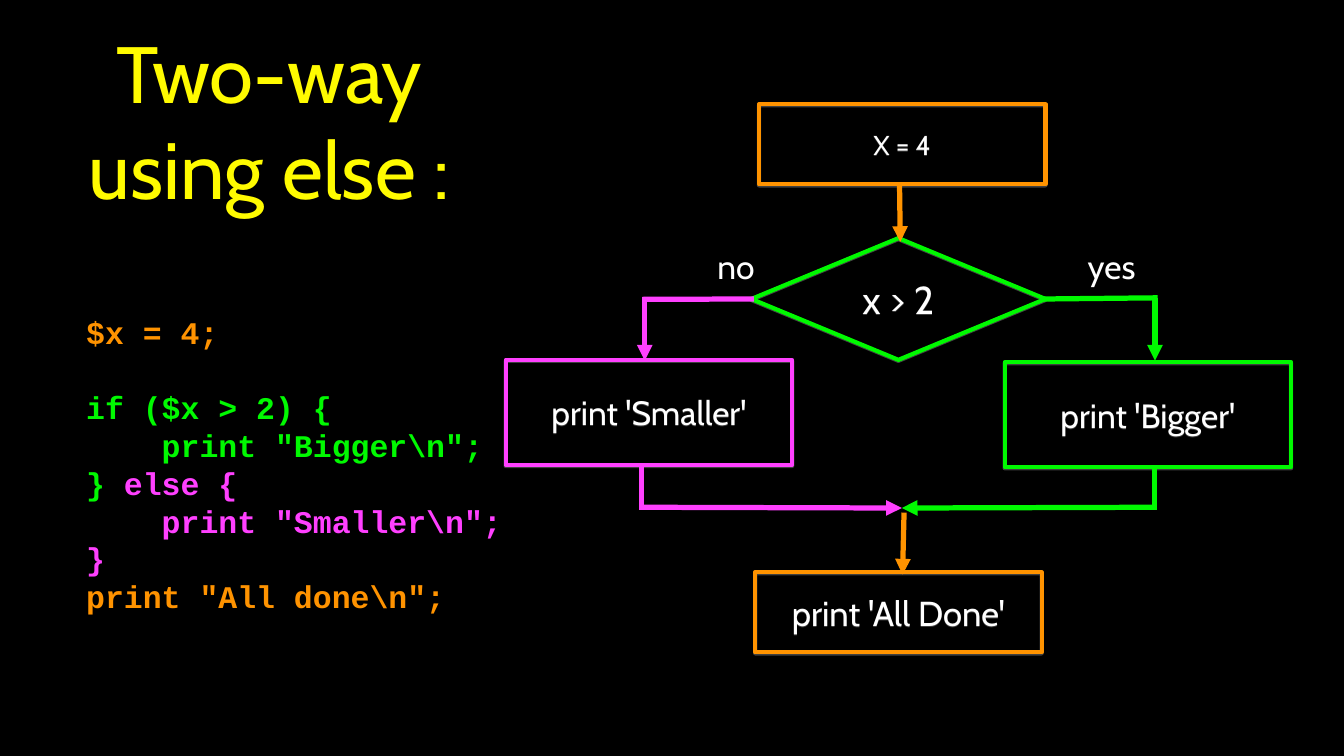
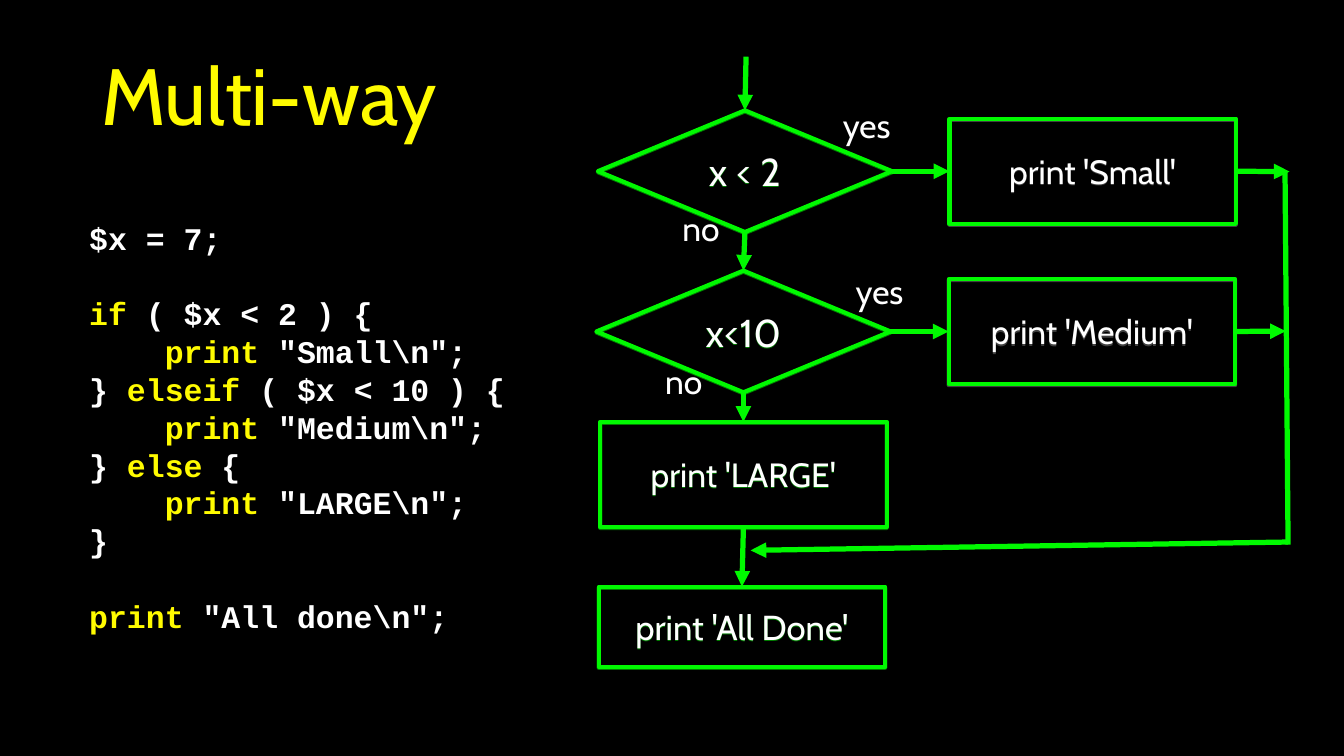
from lxml import etree
from pptx import Presentation
from pptx import util as u
from pptx.dml.color import RGBColor
from pptx.enum import shapes, text
from pptx.oxml import ns

PX = 9144
WIDTH, HEIGHT = 1778, 1000
COLORS = {
    "black": "000000",
    "white": "FFFFFF",
    "yellow": "FFFB00",
    "orange": "FF9300",
    "green": "00F900",
    "pink": "FF40FF",
    "gray": "808080",
}
SANS, MONO = "Cabin", "Courier New"
RECT = shapes.MSO_SHAPE.RECTANGLE
DIAMOND = shapes.MSO_SHAPE.DIAMOND
TOP, LEFT, BOTTOM, RIGHT = range(4)
BOX_W, BOX_H, END_H = 379, 139, 106
TEST_W, TEST_H = 389, 161
CODE_SIZE, CODE_LEADING, CODE_TAB = 30, 36, 72


def px(*lengths):
    return [n * PX for n in lengths]


def rgb(name):
    return RGBColor.from_string(COLORS[name])


def write(tf, lines, size, font=SANS, color="white", bold=False,
          align=text.PP_ALIGN.CENTER, inset=0):
    if isinstance(lines, str):
        lines = [[(lines, color)]]
    tf.word_wrap = True
    tf.auto_size = text.MSO_AUTO_SIZE.NONE
    tf.vertical_anchor = text.MSO_ANCHOR.MIDDLE
    tf.margin_left = tf.margin_right = tf.margin_top = tf.margin_bottom = inset * PX
    for i, runs in enumerate(lines):
        p = tf.add_paragraph() if i else tf.paragraphs[0]
        p.alignment = align
        for words, run_color in runs:
            r = p.add_run()
            r.text = words
            r.font.name = font
            r.font.size = u.Pt(size)
            r.font.bold = bold
            r.font.color.rgb = rgb(run_color)


def add_slide(prs, title, height):
    s = prs.slides.add_slide(prs.slide_layouts[5])
    sp = s.shapes.title
    sp.left, sp.top, sp.width, sp.height = px(61, 33, 590, height)
    write(sp.text_frame, title, 76, color="yellow", inset=4)
    return s


def add_plain(s, kind, x, y, w, h):
    sp = s.shapes.add_shape(kind, *px(x, y, w, h))
    sp.shadow.inherit = False
    sp.fill.background()
    sp.line.fill.background()
    return sp


def label(s, words, x, y):
    width = 69 if words == "yes" else 59
    write(add_plain(s, RECT, x, y, width, 61).text_frame, words, 32)


def code(s, x, y, height, lines):
    tf = add_plain(s, RECT, x, y, 588, height).text_frame
    write(tf, [runs for _, _, runs in lines], CODE_SIZE, font=MONO, bold=True,
          align=text.PP_ALIGN.LEFT, inset=6)
    for p, (tabs, gap, _) in zip(tf.paragraphs, lines):
        p.line_spacing = u.Pt(CODE_LEADING)
        p.space_before = u.Pt(gap * CODE_LEADING)
        if tabs:
            p._p.get_or_add_pPr().set("marL", str(u.Pt(tabs * CODE_TAB)))


def add_shadow(sp, color):
    effects = sp._element.spPr.find(ns.qn("a:effectLst"))
    outer = etree.SubElement(effects, ns.qn("a:outerShdw"), blurRad="0",
                             dist=str(u.Pt(1)), dir="5400000", rotWithShape="0")
    tint = etree.SubElement(outer, ns.qn("a:srgbClr"), val=COLORS[color])
    etree.SubElement(tint, ns.qn("a:alpha"), val="50000")


def node(s, kind, words, x, y, w, h, size, color, shadow):
    sp = add_plain(s, kind, x, y, w, h)
    sp.line.color.rgb = rgb(color)
    sp.line.width = u.Pt(4)
    add_shadow(sp, shadow)
    write(sp.text_frame, words, size)
    return sp


def test(s, words, x, y, shadow="green"):
    return node(s, DIAMOND, words, x, y, TEST_W, TEST_H, 37, "green", shadow)


def step(s, words, x, y, color="green", shadow="gray"):
    return node(s, RECT, words, x, y, BOX_W, BOX_H, 32, color, shadow)


def terminal(s, words, x, y, size=33, color="orange", shadow="gray"):
    return node(s, RECT, words, x, y, BOX_W, END_H, size, color, shadow)


def link(s, start, end, color, arrow):
    glued = [not isinstance(point[0], int) for point in (start, end)]
    ends = [(0, 0) if on else point for on, point in zip(glued, (start, end))]
    c = s.shapes.add_connector(shapes.MSO_CONNECTOR.STRAIGHT, *px(*ends[0], *ends[1]))
    if glued[0]:
        c.begin_connect(*start)
    if glued[1]:
        c.end_connect(*end)
    c.line.color.rgb = rgb(color)
    c.line.width = u.Pt(5)
    ln = c.line._get_or_add_ln()
    if arrow:
        etree.SubElement(ln, ns.qn("a:tailEnd"), type="triangle")
    else:
        ln.set("cap", "sq")
    etree.SubElement(c._element.spPr, ns.qn("a:effectLst"))


def flow(s, *points, color="green"):
    for i in range(1, len(points)):
        link(s, points[i - 1], points[i], color, arrow=i == len(points) - 1)


def two_way(prs):
    s = add_slide(prs, "Two-way using else :", 251)
    code(s, 108, 419, 389, [
        (0, 0, [("$x = 4;", "orange")]),
        (0, 1, [("if ($x > 2) {", "green")]),
        (1, 0, [('print "Bigger\\n";', "green")]),
        (0, 0, [("} ", "green"), ("else {", "pink")]),
        (1, 0, [('print "Smaller\\n";', "pink")]),
        (0, 0, [("}", "pink")]),
        (0, 0, [('print "All done\\n";', "orange")]),
    ])
    terminal(s, "X = 4", 1004, 138, size=26)
    check = test(s, "x > 2", 994, 315, shadow="gray")
    step(s, "print 'Bigger'", 1329, 479)
    step(s, "print 'Smaller'", 669, 476, color="pink")
    terminal(s, "print 'All Done'", 999, 757)
    label(s, "yes", 1436, 322)
    label(s, "no", 944, 322)

    flow(s, (1190, 245), (1191, 320), color="orange")
    for side, top_x, low_x, y, color in ((RIGHT, 1528, 1527, 394, "green"),
                                         (LEFT, 853, 849, 396, "pink")):
        flow(s, (check, side), (top_x, y), (top_x, 477), color=color)
        flow(s, (low_x, 618), (low_x, 671), (1193, 672), color=color)
    flow(s, (1196, 678), (1194, 760), color="orange")


def multi_way(prs):
    s = add_slide(prs, "Multi-way", 181)

    def branch(keyword, before="", after=" {", gap=0):
        runs = [(before, "white")] if before else []
        return 0, gap, runs + [(keyword, "yellow"), (after, "white")]

    def output(words, tabs=1, gap=0):
        return tabs, gap, [("print", "yellow"), (f' "{words}\\n";', "white")]

    code(s, 112, 299, 531, [
        (0, 0, [("$x = 7;", "white")]),
        branch("if", after=" ( $x < 2 ) {", gap=1),
        output("Small"),
        branch("elseif", before="} ", after=" ( $x < 10 ) {"),
        output("Medium"),
        branch("else", before="} "),
        output("LARGE"),
        (0, 0, [("}", "white")]),
        output("All done", tabs=0, gap=1),
    ])
    under_2 = test(s, "x < 2", 791, 146)
    small = step(s, "print 'Small'", 1256, 157)
    under_10 = test(s, "x<10", 789, 358)
    medium = step(s, "print 'Medium'", 1255, 369)
    large = step(s, "print 'LARGE'", 794, 558, shadow="green")
    done = terminal(s, "print 'All Done'", 792, 776, color="green", shadow="green")
    for words, x, y in (("yes", 1112, 135), ("no", 898, 271),
                        ("yes", 1129, 355), ("no", 875, 474)):
        label(s, words, x, y)

    flow(s, (987, 75), (under_2, TOP))
    for upper, lower in ((under_2, under_10), (under_10, large), (large, done)):
        flow(s, (upper, BOTTOM), (lower, TOP))
    for check, box, rail in ((under_2, small, (1706, 227)),
                             (under_10, medium, (1701, 438))):
        flow(s, (check, RIGHT), (box, LEFT))
        flow(s, (box, RIGHT), rail)
    flow(s, (1700, 230), (1704, 717), (993, 728))


def main():
    prs = Presentation()
    prs.slide_width, prs.slide_height = px(WIDTH, HEIGHT)
    fill = prs.slide_master.background.fill
    fill.solid()
    fill.fore_color.rgb = rgb("black")
    two_way(prs)
    multi_way(prs)
    prs.save("out.pptx")


if __name__ == "__main__":
    main()
